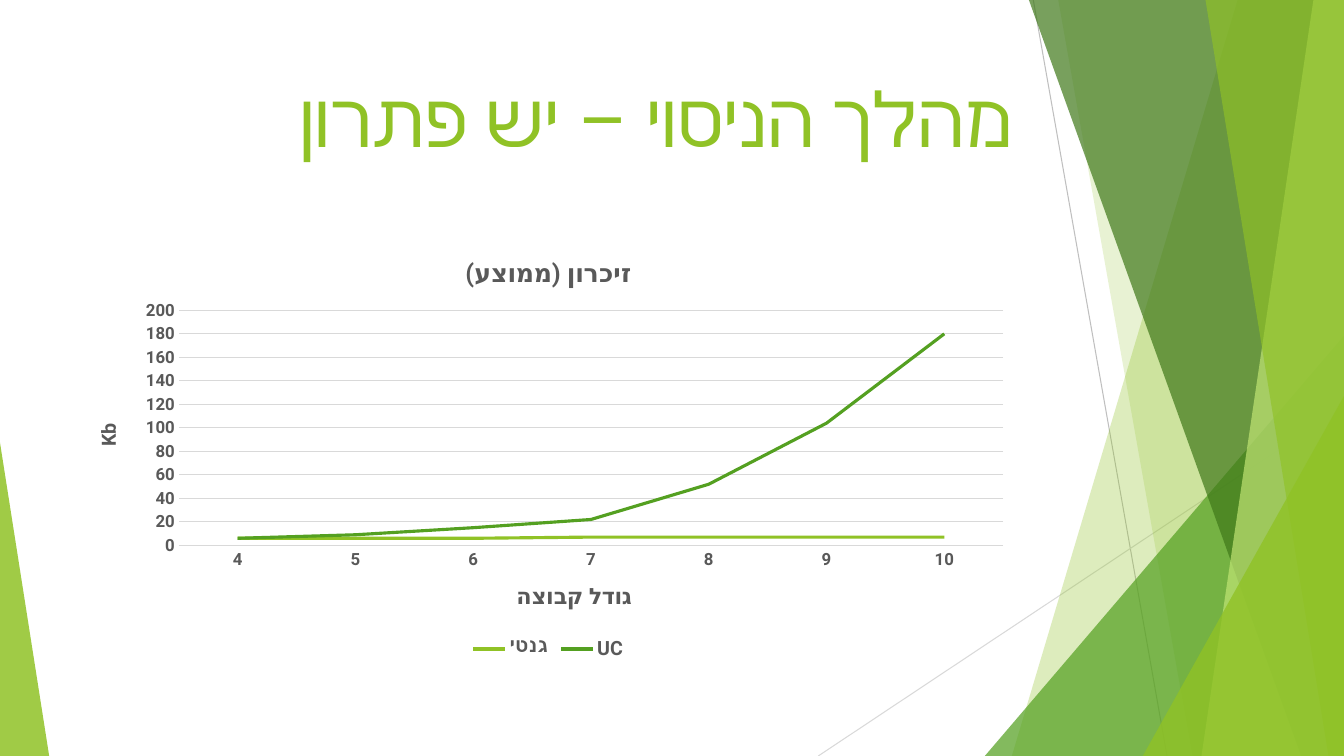
from lxml import etree
from pptx import Presentation
from pptx.chart.data import CategoryChartData
from pptx.dml.color import RGBColor
from pptx.enum.chart import XL_CHART_TYPE, XL_LEGEND_POSITION, XL_TICK_MARK
from pptx.enum.shapes import MSO_CONNECTOR, MSO_SHAPE
from pptx.enum.text import MSO_ANCHOR, PP_ALIGN
from pptx.oxml.ns import qn
from pptx.util import Cm, Pt

LINE_CHART = XL_CHART_TYPE.LINE
LEGEND_BOTTOM = XL_LEGEND_POSITION.BOTTOM
NO_TICK = XL_TICK_MARK.NONE
STRAIGHT = MSO_CONNECTOR.STRAIGHT
TRIANGLE = MSO_SHAPE.ISOSCELES_TRIANGLE
TOP = MSO_ANCHOR.TOP
RIGHT = PP_ALIGN.RIGHT
CENTER = PP_ALIGN.CENTER

LIME = RGBColor(0x90, 0xC2, 0x26)
GREEN = RGBColor(0x54, 0xA0, 0x21)
FOREST = RGBColor(0x3F, 0x78, 0x19)
PALE_LIME = RGBColor(0xC0, 0xE4, 0x74)
GREY = RGBColor(0x59, 0x59, 0x59)
MID_GREY = RGBColor(0xBF, 0xBF, 0xBF)
LIGHT_GREY = RGBColor(0xD9, 0xD9, 0xD9)

FONT = "Roboto"
WIDTH, HEIGHT = 33.87, 19.05
GROUP_SIZES = ["4", "5", "6", "7", "8", "9", "10"]
MEMORY_KB = [
    ("גנטי", LIME, [6, 6, 6, 7, 7, 7, 7]),
    ("UC", GREEN, [6, 9, 15, 22, 52, 104, 180]),
]
PLOT_LAYOUT = {"x": 0.11, "y": 0.17, "w": 0.87, "h": 0.55}


def style_font(font, size, color, bold):
    """Set the typeface, size, colour and weight of a font."""
    font.name = FONT
    font.size = Pt(size)
    font.bold = bold
    font.color.rgb = color


def write(frame, text, size=18, color=GREY, bold=False, align=CENTER, rtl=True):
    """Write one formatted paragraph into a text frame."""
    paragraph = frame.paragraphs[0]
    paragraph.alignment = align
    paragraph._p.get_or_add_pPr().set("rtl", "1" if rtl else "0")
    run = paragraph.add_run()
    run.text = text
    style_font(run.font, size, color, bold)
    etree.SubElement(run._r.get_or_add_rPr(), qn("a:cs"), typeface=FONT)


def paint(facet, color, opacity):
    """Give a facet a translucent fill without line or shadow."""
    facet.shadow.inherit = False
    facet.fill.solid()
    facet.fill.fore_color.rgb = color
    facet.line.fill.background()
    fill_color = facet.fill._xPr.find(qn("a:solidFill"))[0]
    etree.SubElement(fill_color, qn("a:alpha"), val=str(opacity * 1000))


def add_ray(slide, start, end, color):
    """Draw a thin straight line between two points."""
    ray = slide.shapes.add_connector(STRAIGHT, *map(Cm, start + end))
    ray.line.color.rgb = color
    ray.line.width = Pt(0.75)
    etree.SubElement(ray._element.spPr, qn("a:effectLst"))


def add_band(slide, top_x, bottom_x, color, opacity):
    """Draw a full-height band from a slanted edge to the slide's right side."""
    builder = slide.shapes.build_freeform(Cm(top_x), 0)
    corners = [(WIDTH, 0), (WIDTH, HEIGHT), (bottom_x, HEIGHT)]
    builder.add_line_segments([(Cm(x), Cm(y)) for x, y in corners], close=True)
    paint(builder.convert_to_shape(), color, opacity)


def add_corner(slide, left, top, width, apex, color, opacity):
    """Draw a right triangle standing on the slide's bottom edge."""
    corner = slide.shapes.add_shape(
        TRIANGLE, Cm(left), Cm(top), Cm(width), Cm(HEIGHT - top))
    corner.adjustments[0] = apex
    paint(corner, color, opacity)


def add_backdrop(slide):
    """Draw the green facets around the content."""
    add_ray(slide, (26.04, 0), (29.41, HEIGHT), MID_GREY)
    add_ray(slide, (WIDTH, 10.24), (20.62, HEIGHT), LIGHT_GREY)
    add_band(slide, 31.19, 25.5, LIME, 30)
    add_band(slide, 26.67, 30.05, LIME, 20)
    add_corner(slide, 24.82, 8.46, 9.05, 1, GREEN, 72)
    add_band(slide, 25.93, 32.79, FOREST, 70)
    add_band(slide, 33.1, 30.28, PALE_LIME, 70)
    add_band(slide, 30.38, 33.48, LIME, 65)
    add_corner(slide, 28.8, 9.98, 5.07, 1, LIME, 80)
    add_corner(slide, 0, 11.15, 1.24, 0, LIME, 85)


def add_heading(slide, text):
    """Add the slide heading."""
    heading = slide.shapes.add_textbox(Cm(1.88), Cm(1.7), Cm(23.88), Cm(3.66))
    heading.text_frame.word_wrap = True
    heading.text_frame.vertical_anchor = TOP
    write(heading.text_frame, text, size=54, color=LIME, align=RIGHT)


def style_axis(axis, title, **title_format):
    """Format an axis with its title and labels."""
    axis.major_tick_mark = axis.minor_tick_mark = NO_TICK
    style_font(axis.tick_labels.font, 12, GREY, True)
    write(axis.axis_title.text_frame, title, bold=True, **title_format)


def fix_plot_area(chart):
    """Place the inner plot area by fractions of the chart."""
    plot_area = chart._chartSpace.chart.plotArea
    for old_layout in plot_area.findall(qn("c:layout")):
        plot_area.remove(old_layout)
    layout = etree.Element(qn("c:layout"))
    plot_area.insert(0, layout)
    manual = etree.SubElement(layout, qn("c:manualLayout"))
    settings = {"layoutTarget": "inner", "xMode": "edge", "yMode": "edge"}
    for tag, value in (settings | PLOT_LAYOUT).items():
        etree.SubElement(manual, qn(f"c:{tag}"), val=str(value))


def add_memory_chart(slide):
    """Add the line chart of memory use by group size."""
    memory = CategoryChartData()
    memory.categories = GROUP_SIZES
    for name, _, values in MEMORY_KB:
        memory.add_series(name, values)
    chart = slide.shapes.add_chart(
        LINE_CHART, Cm(1.88), Cm(5.99), Cm(23.88), Cm(10.77), memory).chart
    style_font(chart.font, 10, GREY, False)
    chart.has_title = True
    write(chart.chart_title.text_frame, "זיכרון (ממוצע)", size=18, bold=True)

    style_axis(chart.category_axis, "גודל קבוצה", size=16)
    chart.category_axis.format.line.color.rgb = LIGHT_GREY
    chart.category_axis.format.line.width = Pt(0.75)
    style_axis(chart.value_axis, "Kb", size=14, rtl=False)
    chart.value_axis.format.line.fill.background()
    chart.value_axis.minimum_scale = 0
    chart.value_axis.maximum_scale = 200
    chart.value_axis.major_unit = 20
    gridlines = chart.value_axis.major_gridlines.format.line
    gridlines.color.rgb = LIGHT_GREY
    gridlines.width = Pt(0.75)

    chart.has_legend = True
    chart.legend.position = LEGEND_BOTTOM
    chart.legend.include_in_layout = False
    style_font(chart.legend.font, 14, GREY, True)

    plot = chart.plots[0]
    plot.vary_by_categories = False
    for series, (_, color, _) in zip(plot.series, MEMORY_KB):
        series.smooth = False
        series.format.line.color.rgb = color
        series.format.line.width = Pt(2.25)
    fix_plot_area(chart)


def main():
    """Build the slide and save it."""
    deck = Presentation()
    deck.slide_width, deck.slide_height = Cm(WIDTH), Cm(HEIGHT)
    slide = deck.slides.add_slide(deck.slide_layouts[6])
    add_backdrop(slide)
    add_memory_chart(slide)
    add_heading(slide, "מהלך הניסוי – יש פתרון")
    deck.save("out.pptx")


if __name__ == "__main__":
    main()
